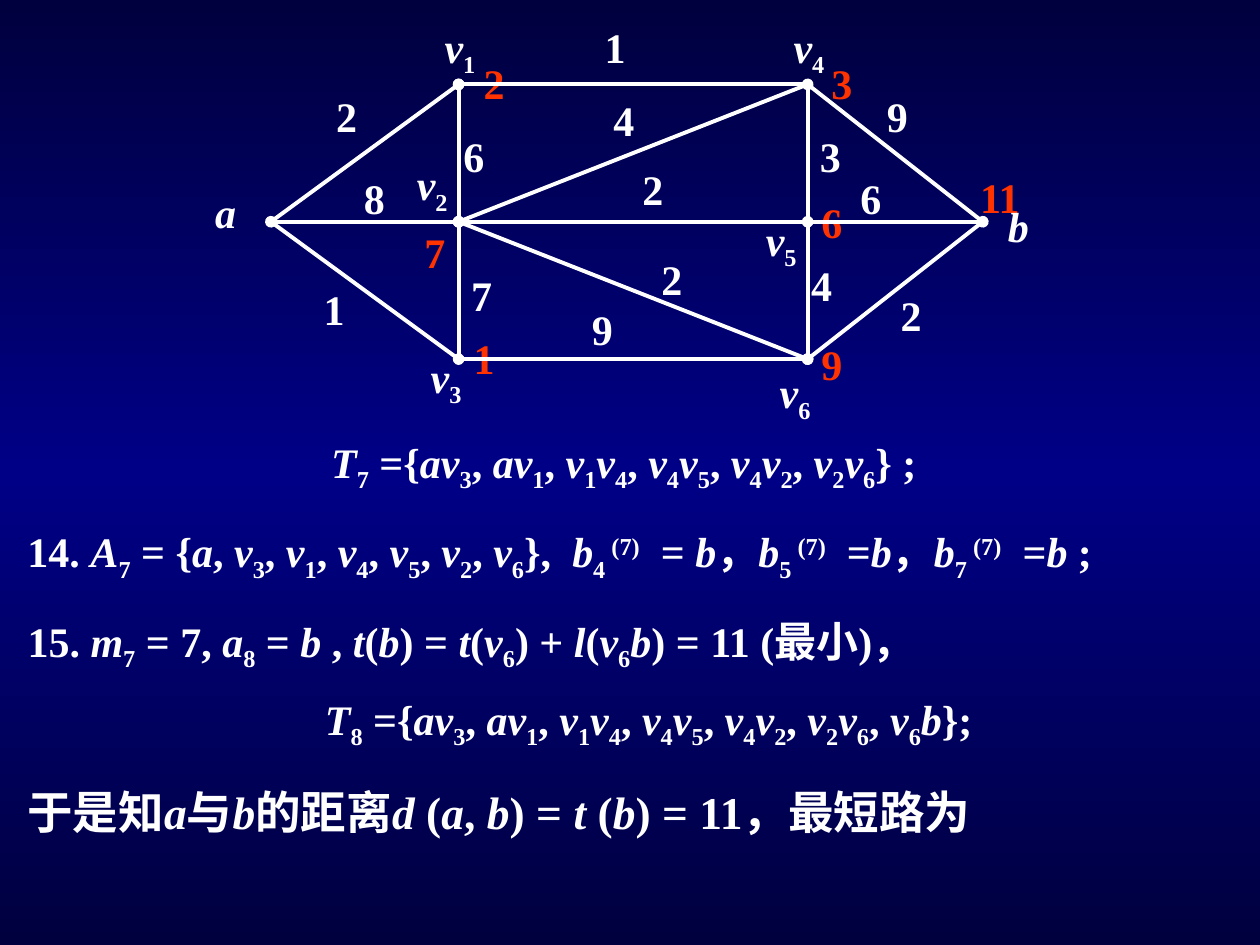
from itertools import groupby

from lxml.etree import SubElement
from pptx import Presentation
from pptx.dml.color import RGBColor
from pptx.enum.shapes import MSO_CONNECTOR as Connector
from pptx.enum.text import MSO_ANCHOR as Anchor, MSO_AUTO_SIZE as AutoSize
from pptx.oxml.ns import qn
from pptx.util import Pt

PX = 9144  # EMU per px, 100 px to the inch
WHITE, RED = "FFFFFF", "FF3300"
NAVY, BLUE = "00003E", "000086"
SHIFTS = {"_": -25000, "^": 30000}

COL_A, COL_LEFT, COL_RIGHT, COL_B = 55, 204, 481, 620
ROW_TOP, ROW_MID, ROW_BOTTOM = 57, 166, 275

# vertex: (point, place of its name, distance from a, place of the distance)
VERTICES = {
    "a": ((COL_A, ROW_MID), (1, 133), None, None),
    "v_1_": ((COL_LEFT, ROW_TOP), (183, 2), "2", (214, 31)),
    "v_2_": ((COL_LEFT, ROW_MID), (161, 111), "7", (167, 165)),
    "v_3_": ((COL_LEFT, ROW_BOTTOM), (172, 264), "1", (206, 249)),
    "v_4_": ((COL_RIGHT, ROW_TOP), (460, 2), "3", (490, 31)),
    "v_5_": ((COL_RIGHT, ROW_MID), (438, 155), "6", (482, 141)),
    "v_6_": ((COL_RIGHT, ROW_BOTTOM), (449, 276), "9", (482, 254)),
    "b": ((COL_B, ROW_MID), (630, 144), "11", (608, 121)),
}
# start, end, dots at both ends, then each weight with its place
EDGES = [
    ("v_1_", "v_4_", False, [("1", 310, 2)]),
    ("v_1_", "a", True, [("2", 97, 57)]),
    ("a", "v_3_", False, [("1", 87, 210)]),
    ("v_1_", "v_3_", True, [("6", 198, 89), ("7", 204, 199)]),
    ("a", "v_2_", False, [("8", 119, 122)]),
    ("v_4_", "v_6_", False, [("3", 481, 89), ("4", 474, 191)]),
    ("v_3_", "v_6_", False, [("9", 300, 226)]),
    ("v_2_", "v_5_", True, [("2", 340, 115)]),
    ("v_5_", "b", False, [("6", 513, 122)]),
    ("v_4_", "b", False, [("9", 534, 57)]),
    ("b", "v_6_", True, [("2", 545, 215)]),
    ("v_4_", "v_2_", True, [("4", 317, 60)]),
    ("v_2_", "v_6_", True, [("2", 355, 186)]),
]
TREE = "={av_3_, av_1_, v_1_v_4_, v_4_v_5_, v_4_v_2_, v_2_v_6_"
# left, top, width, height, size, text
STEPS = [
    (253, 341, 523, 56, 24, "T_7_ " + TREE + "} ;"),
    (12, 412, 953, 56, 24,
     "14. A_7_ = {a, v_3_, v_1_, v_4_, v_5_, v_2_, v_6_},  "
     "b_4 _^(7)^  = b，b_5 _^(7)^  =b，b_7 _^(7)^  =b ;"),
    (12, 483, 858, 56, 24,
     "15. m_7_ = 7, a_8_ = b , t(b) = t(v_6_) + l(v_6_b) = 11 (最小)，"),
    (248, 545, 559, 56, 24, "T_8_ " + TREE + ", v_6_b};"),
    (12, 617, 827, 54, 26, "于是知a与b的距离d (a, b) = t (b) = 11，最短路为"),
]


def color(hex_text):
    return RGBColor.from_string(hex_text)


def split_math(text):
    """Yield (part, italic, baseline); _x_ is lowered, ^x^ raised, Latin letters italic."""
    marked, shift = [], 0
    for char in text:
        if char in SHIFTS:
            shift = 0 if shift else SHIFTS[char]
        else:
            marked.append((char, char.isascii() and char.isalpha(), shift))
    for (italic, baseline), chars in groupby(marked, key=lambda item: item[1:]):
        yield "".join(char for char, *_ in chars), italic, baseline


def add_math(slide, text, left, top, width=56, height=50, *, size=24, fill=WHITE,
             anchor=Anchor.TOP):
    box = slide.shapes.add_textbox(left * PX, top * PX, width * PX, height * PX)
    frame = box.text_frame
    frame.word_wrap = True
    frame.auto_size = AutoSize.SHAPE_TO_FIT_TEXT
    frame.vertical_anchor = anchor
    for part, italic, baseline in split_math(text):
        run = frame.paragraphs[0].add_run()
        run.text = part
        font = run.font
        font.name, font.size, font.bold, font.italic = "Times New Roman", Pt(size), True, italic
        font.color.rgb = color(fill)
        if baseline:
            run._r.get_or_add_rPr().set("baseline", str(baseline))


def add_edge(slide, start, end, dotted):
    edge = slide.shapes.add_connector(Connector.STRAIGHT, *(n * PX for n in start + end))
    edge.line.color.rgb = color(WHITE)
    edge.line.width = Pt(2.25)
    if dotted:
        for tag in ("a:headEnd", "a:tailEnd"):
            SubElement(edge.line._get_or_add_ln(), qn(tag), type="oval")
    SubElement(edge._element.spPr, qn("a:effectLst"))


def add_graph(slide, left, top):
    """Weighted graph with the distance from a in red beside each vertex."""
    def place(point):
        return left + point[0], top + point[1]

    for _, _, distance, spot in VERTICES.values():
        if distance:
            add_math(slide, distance, *place(spot), 71 if len(distance) > 1 else 32, fill=RED)
    for start, end, dotted, _ in EDGES:
        add_edge(slide, place(VERTICES[start][0]), place(VERTICES[end][0]), dotted)
    for *_, weights in EDGES:
        for weight, *spot in weights:
            add_math(slide, weight, *place(spot))
    for name, (_, spot, _, _) in VERTICES.items():
        add_math(slide, name, *place(spot), height=56 if "_" in name else 50)


def add_steps(slide):
    for left, top, width, height, size, text in STEPS:
        add_math(slide, text, left, top, width, height, size=size, anchor=Anchor.MIDDLE)


def paint_background(slide):
    fill = slide.background.fill
    fill.gradient()
    fill.gradient_angle = 270
    stops = slide.element.find(".//" + qn("a:gsLst"))
    for stop in list(stops):
        stops.remove(stop)
    for percent, shade in ((0, NAVY), (50, BLUE), (100, NAVY)):
        stop = SubElement(stops, qn("a:gs"), pos=str(percent * 1000))
        SubElement(stop, qn("a:srgbClr"), val=shade)


def main():
    deck = Presentation()
    deck.slide_width, deck.slide_height = 1000 * PX, 750 * PX
    slide = deck.slides.add_slide(deck.slide_layouts[6])
    paint_background(slide)
    add_steps(slide)
    add_graph(slide, 160, 10)
    deck.save("out.pptx")


if __name__ == "__main__":
    main()
